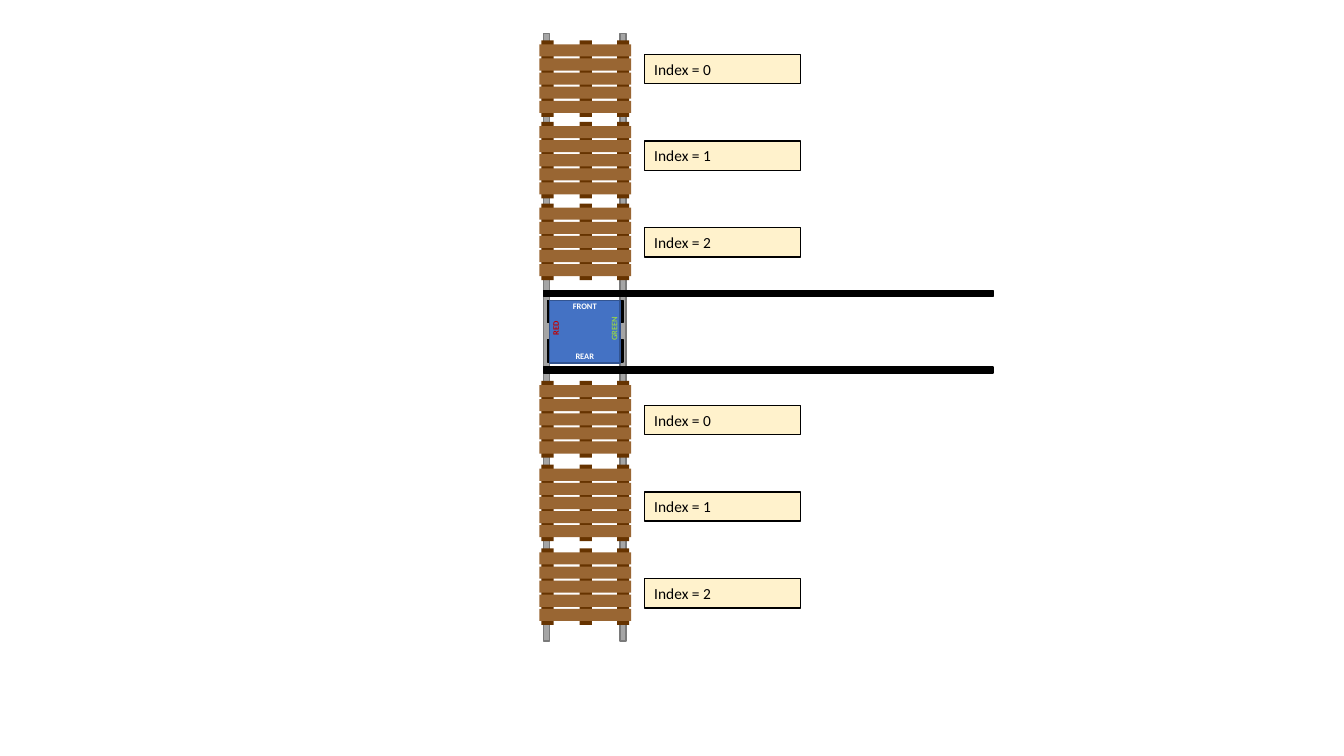
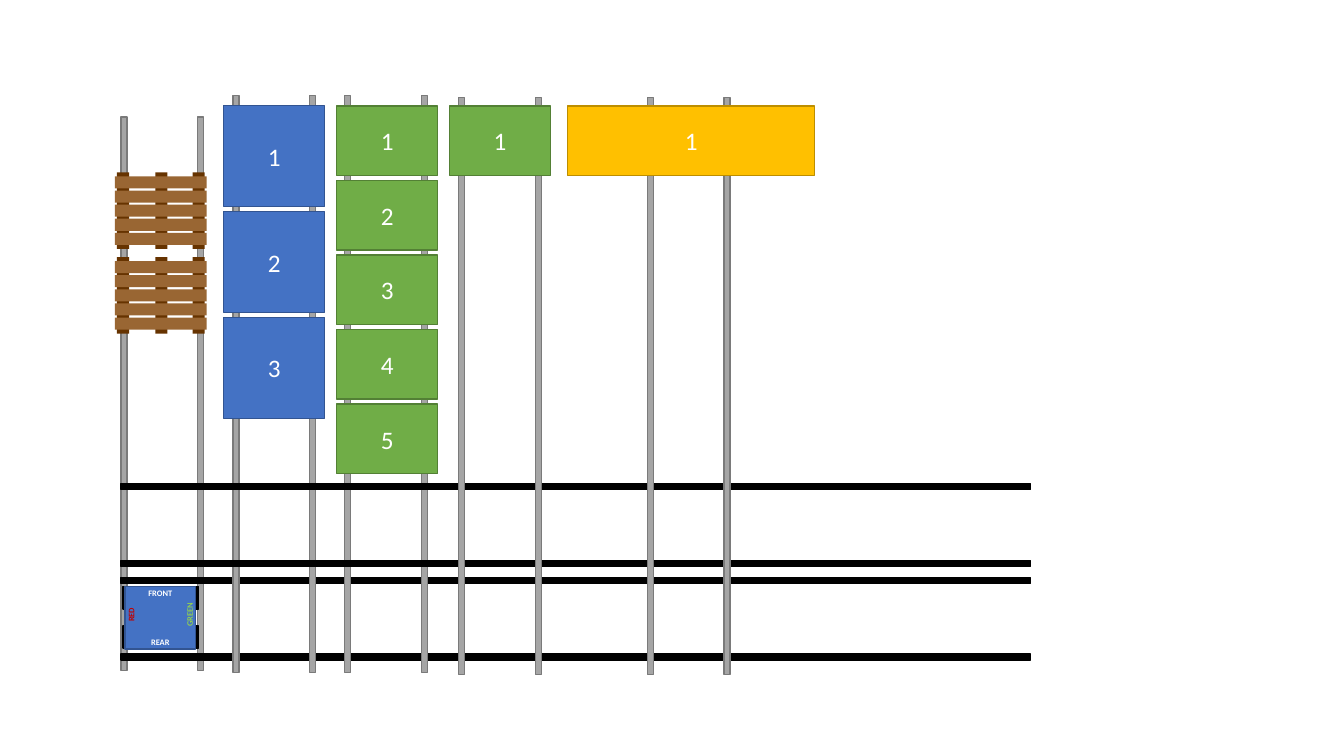
from dataclasses import dataclass
from typing import NamedTuple

from pptx import Presentation
from pptx.dml.color import RGBColor
from pptx.enum import text
from pptx.enum.shapes import MSO_SHAPE
from pptx.shapes import autoshape, shapetree
from pptx.slide import Slide
from pptx.util import Inches, Pt


class Paint(NamedTuple):
    fill: str
    line: str | None = None


@dataclass(frozen=True)
class Theme:
    font: str = "Calibri"
    side_size: float = 6
    index_size: float = 11
    crate_size: float = 18
    line_width: float = 1
    white: str = "FFFFFF"
    black: str = "000000"
    red: str = "C00000"
    lime: str = "92D050"
    rail: Paint = Paint("A5A5A5", "7A7A7A")
    solid: Paint = Paint("000000", "000000")
    plank: Paint = Paint("996633")
    post: Paint = Paint("663300")
    index: Paint = Paint("FFF2CC", "000000")
    blue: Paint = Paint("4472C4", "325491")
    green: Paint = Paint("70AD47", "538035")
    gold: Paint = Paint("FFC000", "BD8E00")


class Area(NamedTuple):
    left: float
    top: float
    width: float
    height: float


class Side(NamedTuple):
    """A word on the robot, placed from the robot's top left corner."""
    word: str
    left: float
    top: float
    color: str
    rotation: float = 0


class CrateStack(NamedTuple):
    left: float
    width: float
    height: float
    pitch: float
    count: int
    paint: Paint


THEME = Theme()
RAIL_WIDTH = 0.06
GAUGE = 0.76
CRATE_TOP = 1.05
SIDES = [
    Side("FRONT", 0.13, -0.04, THEME.white),
    Side("REAR", 0.13, 0.45, THEME.white),
    Side("GREEN", 0.42, 0.18, THEME.lime, 270),
    Side("RED", -0.16, 0.18, THEME.red, 270),
]
BLUE_CRATES = CrateStack(2.22, 1, 1, 1.05, 3, THEME.blue)
GREEN_CRATES = CrateStack(3.34, 1, 0.69, 0.74, 5, THEME.green)
GREEN_CRATE = CrateStack(4.46, 1, 0.69, 0.74, 1, THEME.green)
GOLD_CRATE = CrateStack(5.63, 2.45, 0.69, 0.74, 1, THEME.gold)


def add_box(tree: shapetree.SlideShapes | shapetree.GroupShapes,
            area: Area, paint: Paint) -> autoshape.Shape:
    box = tree.add_shape(MSO_SHAPE.RECTANGLE, *map(Inches, area))
    box.shadow.inherit = False
    box.fill.solid()
    box.fill.fore_color.rgb = RGBColor.from_string(paint.fill)
    if paint.line:
        box.line.color.rgb = RGBColor.from_string(paint.line)
        box.line.width = Pt(THEME.line_width)
    else:
        box.line.fill.background()
    return box


def write(box: autoshape.Shape, words: str, size: float, color: str,
          align: text.PP_ALIGN = text.PP_ALIGN.CENTER, bold: bool = False) -> None:
    frame = box.text_frame
    frame.word_wrap = True
    frame.vertical_anchor = text.MSO_ANCHOR.MIDDLE
    para = frame.paragraphs[0]
    para.alignment = align
    span = para.add_run()
    span.text = words
    span.font.name = THEME.font
    span.font.size = Pt(size)
    span.font.bold = bold
    span.font.color.rgb = RGBColor.from_string(color)


def add_track(page: Slide, left: float, top: float, length: float) -> None:
    """Draw two grey rails running down the page."""
    group = page.shapes.add_group_shape()
    for rail in range(2):
        area = Area(left + rail * GAUGE, top, RAIL_WIDTH, length)
        add_box(group.shapes, area, THEME.rail)


def add_crossing(page: Slide, left: float, top: float, length: float) -> None:
    """Draw two black rails running across the page."""
    group = page.shapes.add_group_shape()
    for rail in range(2):
        area = Area(left, top + rail * GAUGE, length, RAIL_WIDTH)
        add_box(group.shapes, area, THEME.solid)


def add_pallet(page: Slide, left: float, top: float) -> None:
    group = page.shapes.add_group_shape()
    for post in (0.02, 0.4, 0.77):
        add_box(group.shapes, Area(left + post, top, 0.12, 0.76), THEME.post)
    for plank in range(5):
        area = Area(left, top + 0.04 + plank * 0.14, 0.91, 0.12)
        add_box(group.shapes, area, THEME.plank)


def add_robot(page: Slide, left: float, top: float) -> None:
    group = page.shapes.add_group_shape()
    for across in (0.68, -0.02):
        for down in (0, 0.39):
            area = Area(left + across, top + down, 0.05, 0.22)
            add_box(group.shapes, area, THEME.solid)
    add_box(group.shapes, Area(left, top, 0.7, 0.62), THEME.blue)
    for side in SIDES:
        area = Area(left + side.left, top + side.top, 0.44, 0.2)
        box = group.shapes.add_textbox(*map(Inches, area))
        box.rotation = side.rotation
        box.text_frame.margin_left = box.text_frame.margin_right = 0
        write(box, side.word, THEME.side_size, side.color, bold=True)


def add_crates(page: Slide, stack: CrateStack) -> None:
    for row in range(stack.count):
        area = Area(stack.left, CRATE_TOP + row * stack.pitch, stack.width, stack.height)
        crate = add_box(page.shapes, area, stack.paint)
        write(crate, str(row + 1), THEME.crate_size, THEME.white)


def add_indexed_pallets(page: Slide, pallet_top: float, pallet_pitch: float,
                        label_top: float) -> None:
    for index in range(3):
        add_pallet(page, 5.35, pallet_top + index * pallet_pitch)
        label = add_box(page.shapes, Area(6.39, label_top + index * 0.86, 1.55, 0.29),
                        THEME.index)
        write(label, f"Index = {index}", THEME.index_size, THEME.black,
              text.PP_ALIGN.LEFT)


def build_index_page(page: Slide) -> None:
    add_track(page, 5.39, 0.33, 6.03)
    add_crossing(page, 5.39, 2.88, 4.46)
    add_robot(page, 5.45, 2.98)
    add_indexed_pallets(page, 0.4, 0.81, 0.54)
    add_indexed_pallets(page, 3.78, 0.83, 4.02)


def build_yard_page(page: Slide) -> None:
    add_track(page, 1.2, 1.16, 5.49)
    add_crossing(page, 1.2, 5.73, 9.02)
    add_robot(page, 1.24, 5.82)
    for top in (1.71, 2.55):
        add_pallet(page, 1.14, top)
    for left in (2.31, 3.42):
        add_track(page, left, 0.95, 5.72)
    add_crossing(page, 1.2, 4.8, 9.02)
    for stack in (BLUE_CRATES, GREEN_CRATES):
        add_crates(page, stack)
    for left, stack in ((4.55, GREEN_CRATE), (6.42, GOLD_CRATE)):
        add_track(page, left, 0.97, 5.72)
        add_crates(page, stack)


def main() -> None:
    deck = Presentation()
    deck.slide_width, deck.slide_height = Inches(13.33), Inches(7.5)
    blank = deck.slide_layouts.get_by_name("Blank")
    for build in (build_index_page, build_yard_page):
        build(deck.slides.add_slide(blank))
    deck.save("out.pptx")


if __name__ == "__main__":
    main()
